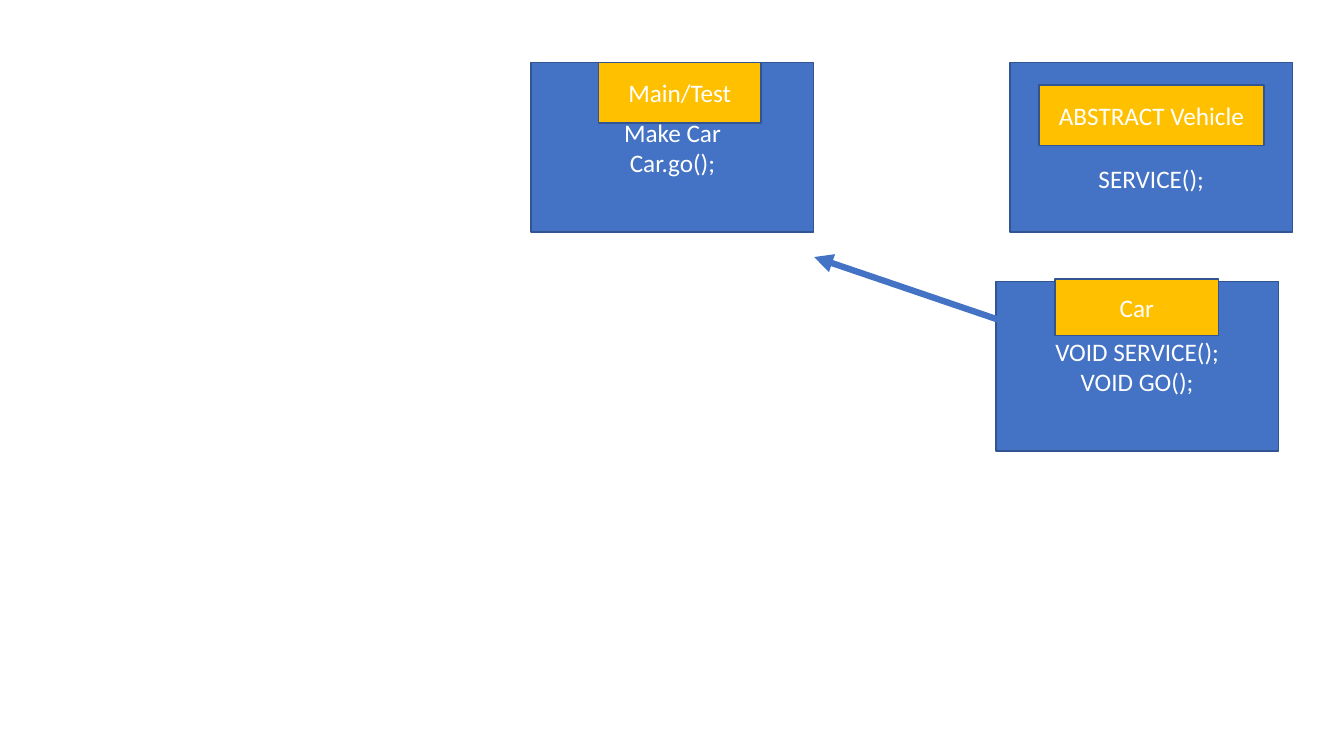
import pptx
import pptx.util
import pptx.oxml.xmlchemy
import pptx.dml.color
import pptx.enum.shapes
import pptx.enum.text
from dataclasses import dataclass

Pt = pptx.util.Pt


@dataclass
class Theme:
    font: str = "Calibri"
    size: float = 18
    text: str = "FFFFFF"
    body: str = "4472C4"
    title: str = "FFC000"
    edge: str = "325491"
    thin: float = 1
    thick: float = 4.5


class Sketch:
    def __init__(self, slide, theme):
        self.slide = slide
        self.theme = theme

    def color(self, code):
        return pptx.dml.color.RGBColor.from_string(code)

    def box(self, place, fill, lines, drop=0):
        theme = self.theme
        shape = self.slide.shapes.add_shape(
            pptx.enum.shapes.MSO_SHAPE.RECTANGLE, *map(Pt, place))
        shape.shadow.inherit = False
        shape.fill.solid()
        shape.fill.fore_color.rgb = self.color(fill)
        shape.line.color.rgb = self.color(theme.edge)
        shape.line.width = Pt(theme.thin)
        frame = shape.text_frame
        frame.word_wrap = True
        frame.vertical_anchor = pptx.enum.text.MSO_ANCHOR.MIDDLE
        frame.margin_top = Pt(3.6 + drop)
        frame.text = "\n".join(lines)
        for para in frame.paragraphs:
            para.alignment = pptx.enum.text.PP_ALIGN.CENTER
            para.font.name = theme.font
            para.font.size = Pt(theme.size)
            para.font.color.rgb = self.color(theme.text)

    def arrow(self, start, end):
        link = self.slide.shapes.add_connector(
            pptx.enum.shapes.MSO_CONNECTOR.STRAIGHT, *map(Pt, start + end))
        link.line.color.rgb = self.color(self.theme.body)
        link.line.width = Pt(self.theme.thick)
        props = link._element.spPr
        tip = pptx.oxml.xmlchemy.OxmlElement("a:tailEnd")
        tip.set("type", "triangle")
        props.get_or_add_ln().append(tip)
        props.append(pptx.oxml.xmlchemy.OxmlElement("a:effectLst"))


WIDE, HIGH = 201.9, 121.2
BLANK = 6

deck = pptx.Presentation()
deck.slide_width = Pt(960)
deck.slide_height = Pt(540)
theme = Theme()
sketch = Sketch(deck.slides.add_slide(deck.slide_layouts[BLANK]), theme)

classes = [
    ((711.3, 201), ["VOID SERVICE();", "VOID GO();"], 0,
     "Car", (753.7, 199.4, 116.6, 40.3)),
    ((379.4, 44.6), ["Make Car", "Car.go();"], 0,
     "Main/Test", (427.5, 44.6, 116.2, 43.2)),
    ((721.4, 44.6), ["SERVICE();"], 44,
     "ABSTRACT Vehicle", (742.2, 60.6, 160.6, 43.6)),
]
for spot, calls, drop, name, label in classes:
    sketch.box((*spot, WIDE, HIGH), theme.body, calls, drop)
    sketch.box(label, theme.title, [name])

sketch.arrow((715, 229), (581.5, 183.6))

deck.save("out.pptx")
